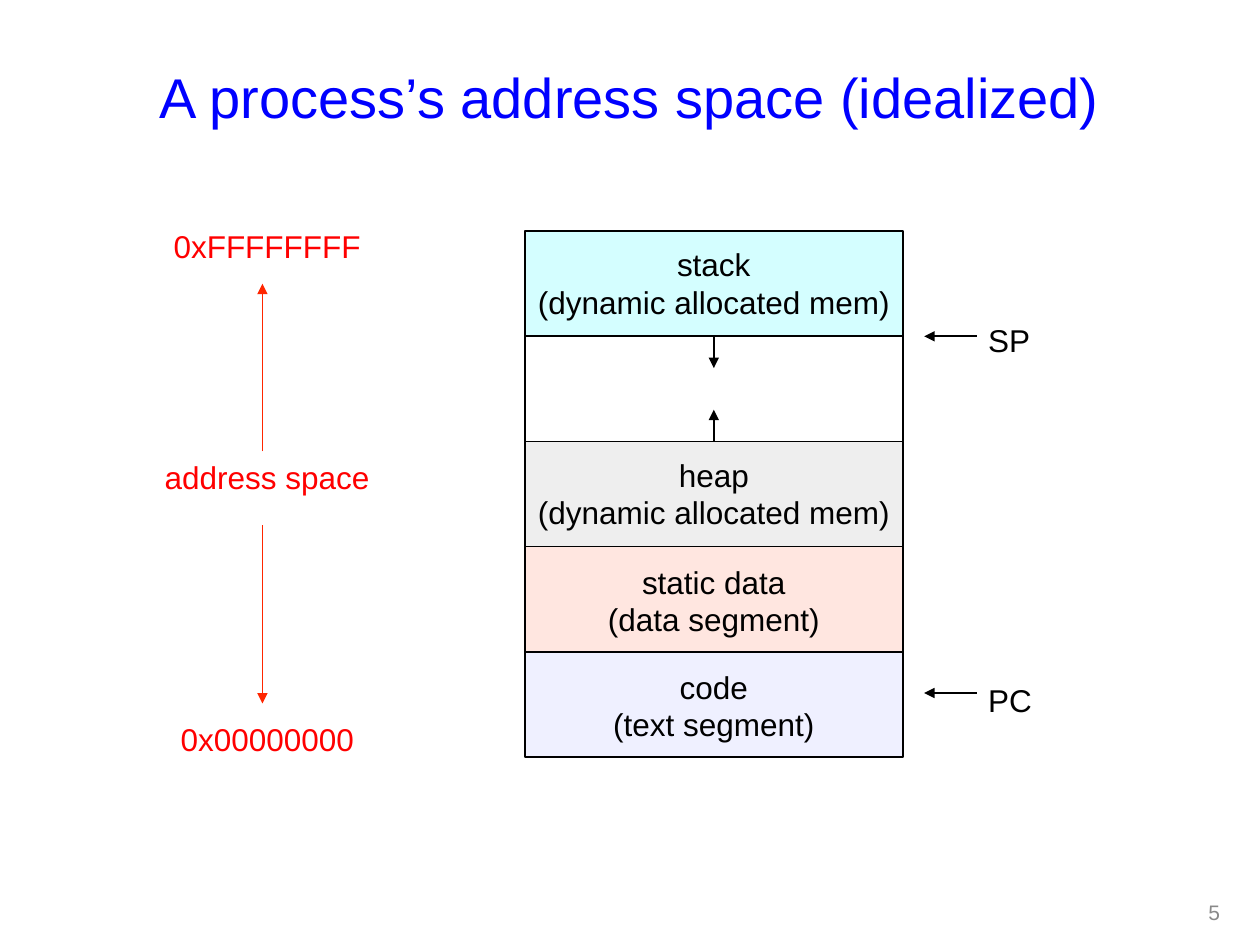
from dataclasses import dataclass
from typing import Optional

from lxml.etree import SubElement
from pptx import Presentation
from pptx.dml.color import RGBColor
from pptx.enum.shapes import MSO_CONNECTOR, MSO_SHAPE
from pptx.enum.text import MSO_ANCHOR, MSO_AUTO_SIZE, PP_ALIGN
from pptx.oxml.ns import qn
from pptx.util import Cm, Pt

FONT = "Arial"
COLORS = {
    "title": "0000FF", "red": "FF0000", "arrow_red": "FF2600",
    "black": "000000", "gray": "898989",
    "stack": "D4FEFF", "heap": "EEEEEE", "static": "FFE6E0", "code": "EFF0FF",
}

# Memory column, in cm
COL_X, COL_Y, COL_W, SEG_H = 10.58, 4.66, 7.62, 2.12
COL_MID = COL_X + COL_W / 2
GROWTH = 0.64


@dataclass
class Segment:
    lines: tuple
    fill: Optional[str]
    inset: float = 0.3


@dataclass
class Label:
    text: str
    x: float
    y: float
    w: float
    color: str
    size: int = 18
    h: float = 0.84


@dataclass
class Arrow:
    x1: float
    y1: float
    x2: float
    y2: float
    color: str = "black"


SEGMENTS = [
    Segment(("stack", "(dynamic allocated mem)"), "stack"),
    Segment((), None),
    Segment(("heap", "(dynamic allocated mem)"), "heap"),
    Segment(("static data", "(data segment)"), "static", 0.34),
    Segment(("code", "(text segment)"), "code", 0.34),
]
LABELS = [
    Label("0xFFFFFFFF", 3.5, 4.55, 3.84, "red"),
    Label("address space", 3.32, 9.2, 4.19, "red"),
    Label("0x00000000", 3.64, 14.48, 3.56, "red"),
    Label("SP", 19.92, 6.45, 0.91, "black"),
    Label("PC", 19.92, 13.69, 0.97, "black"),
    Label("5", 24.36, 18.11, 0.33, "gray", 12, 0.53),
]
ARROWS = [
    Arrow(5.29, 9.1, 5.29, 5.72, "arrow_red"),
    Arrow(5.29, 10.59, 5.29, 14.18, "arrow_red"),
    Arrow(19.69, 6.78, 18.63, 6.78),
    Arrow(19.69, 13.97, 18.63, 13.97),
]


def rgb(name: str) -> RGBColor:
    return RGBColor.from_string(COLORS[name])


def set_frame(tf, top: float = 0.03, wrap: bool = True) -> None:
    tf.margin_left = tf.margin_right = tf.margin_bottom = 0
    tf.margin_top = Cm(top)
    tf.word_wrap = wrap
    tf.auto_size = MSO_AUTO_SIZE.NONE
    tf.vertical_anchor = MSO_ANCHOR.TOP


def add_run(p, text: str, size: int, color: str) -> None:
    r = p.add_run()
    r.text = text
    r.font.name = FONT
    r.font.size = Pt(size)
    r.font.color.rgb = rgb(color)


def add_label(s, label: Label) -> None:
    box = s.shapes.add_textbox(Cm(label.x), Cm(label.y), Cm(label.w), Cm(label.h))
    set_frame(box.text_frame, wrap=False)
    add_run(box.text_frame.paragraphs[0], label.text, label.size, label.color)


def add_segment(s, seg: Segment, row: int):
    sp = s.shapes.add_shape(MSO_SHAPE.RECTANGLE, Cm(COL_X),
                            Cm(COL_Y + row * SEG_H), Cm(COL_W), Cm(SEG_H))
    sp.shadow.inherit = False
    sp.line.color.rgb = rgb("black")
    sp.line.width = Pt(1)
    if seg.fill:
        sp.fill.solid()
        sp.fill.fore_color.rgb = rgb(seg.fill)
    else:
        sp.fill.background()
    tf = sp.text_frame
    set_frame(tf, seg.inset)
    for i, line in enumerate(seg.lines):
        p = tf.add_paragraph() if i else tf.paragraphs[0]
        p.alignment = PP_ALIGN.CENTER
        p.line_spacing = Pt(21.3)
        add_run(p, line, 18, "black")
    return sp


def add_arrow(s, arrow: Arrow):
    cxn = s.shapes.add_connector(MSO_CONNECTOR.STRAIGHT, Cm(arrow.x1), Cm(arrow.y1),
                                 Cm(arrow.x2), Cm(arrow.y2))
    cxn.line.color.rgb = rgb(arrow.color)
    cxn.line.width = Pt(1)
    SubElement(cxn.line._get_or_add_ln(), qn("a:tailEnd"), type="triangle")
    SubElement(cxn._element.spPr, qn("a:effectLst"))
    return cxn


def main() -> None:
    prs = Presentation()
    prs.slide_width, prs.slide_height = Cm(25.4), Cm(19.05)
    s = prs.slides.add_slide(prs.slide_layouts[5])

    # Title
    title = s.shapes.title
    title.left, title.top, title.width, title.height = Cm(3.2), Cm(1.22), Cm(19), Cm(1.42)
    set_frame(title.text_frame)
    p = title.text_frame.paragraphs[0]
    p.alignment = PP_ALIGN.CENTER
    add_run(p, "A process’s address space (idealized)", 32, "title")

    # Memory segments, from high to low addresses
    blocks = [add_segment(s, seg, row) for row, seg in enumerate(SEGMENTS)]

    # Stack grows down, heap grows up
    for row, edge, site, step in ((0, 1, 2, GROWTH), (2, 2, 0, -GROWTH)):
        y = COL_Y + edge * SEG_H
        cxn = add_arrow(s, Arrow(COL_MID, y, COL_MID, y + step))
        cxn.begin_connect(blocks[row], site)

    # Address range and register pointers
    for arrow in ARROWS:
        add_arrow(s, arrow)
    for label in LABELS:
        add_label(s, label)

    prs.save("out.pptx")


if __name__ == "__main__":
    main()
